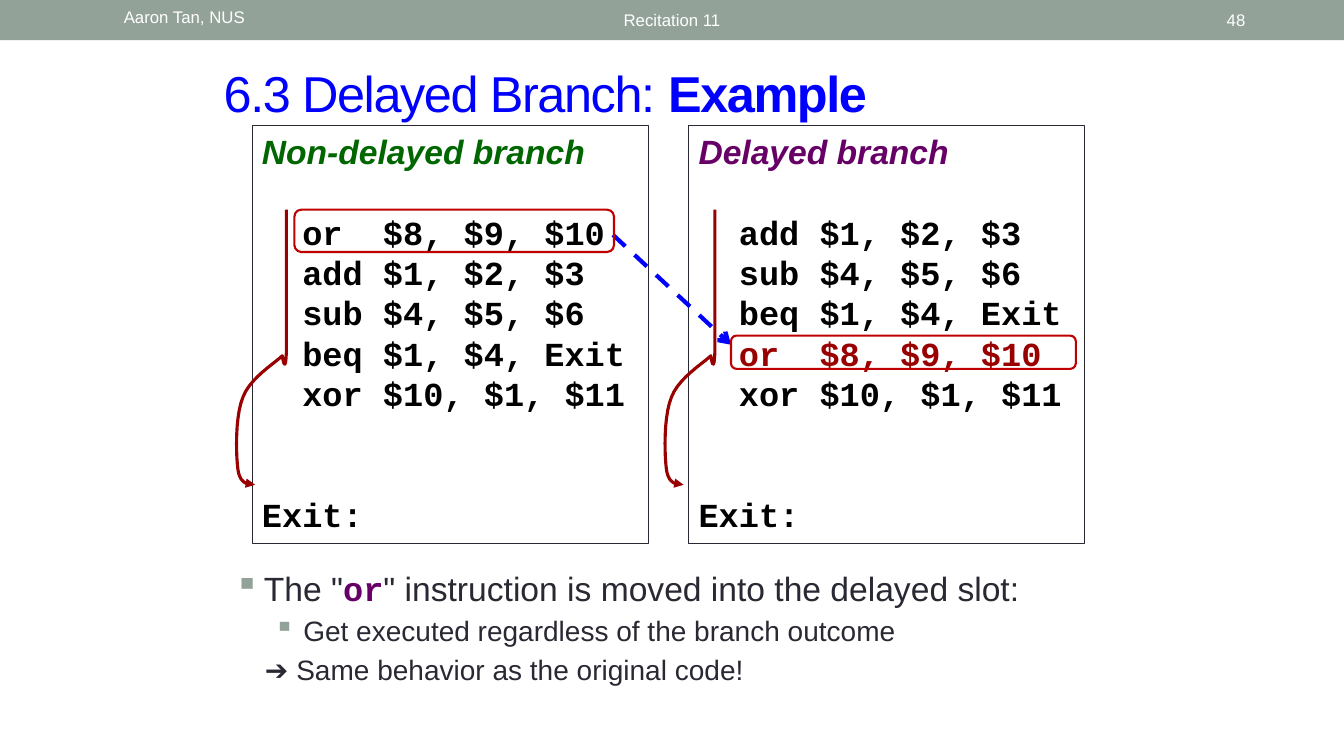
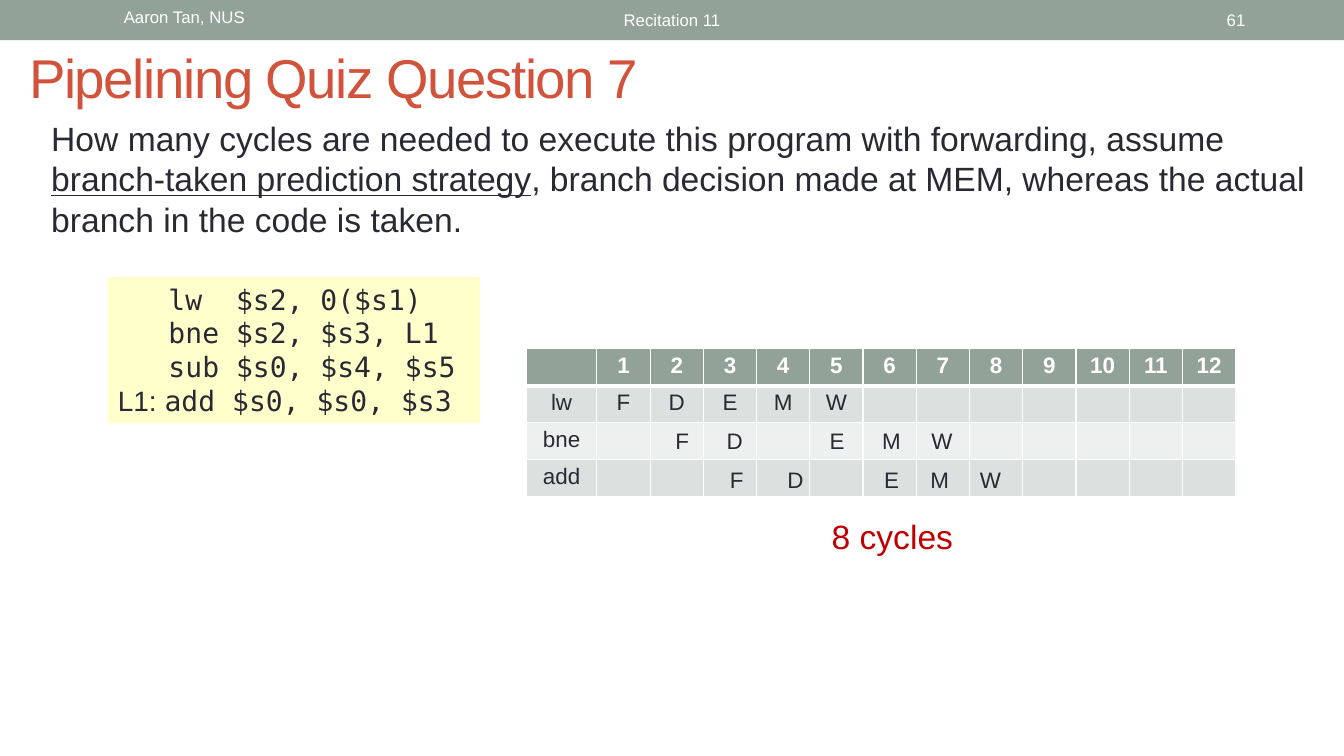
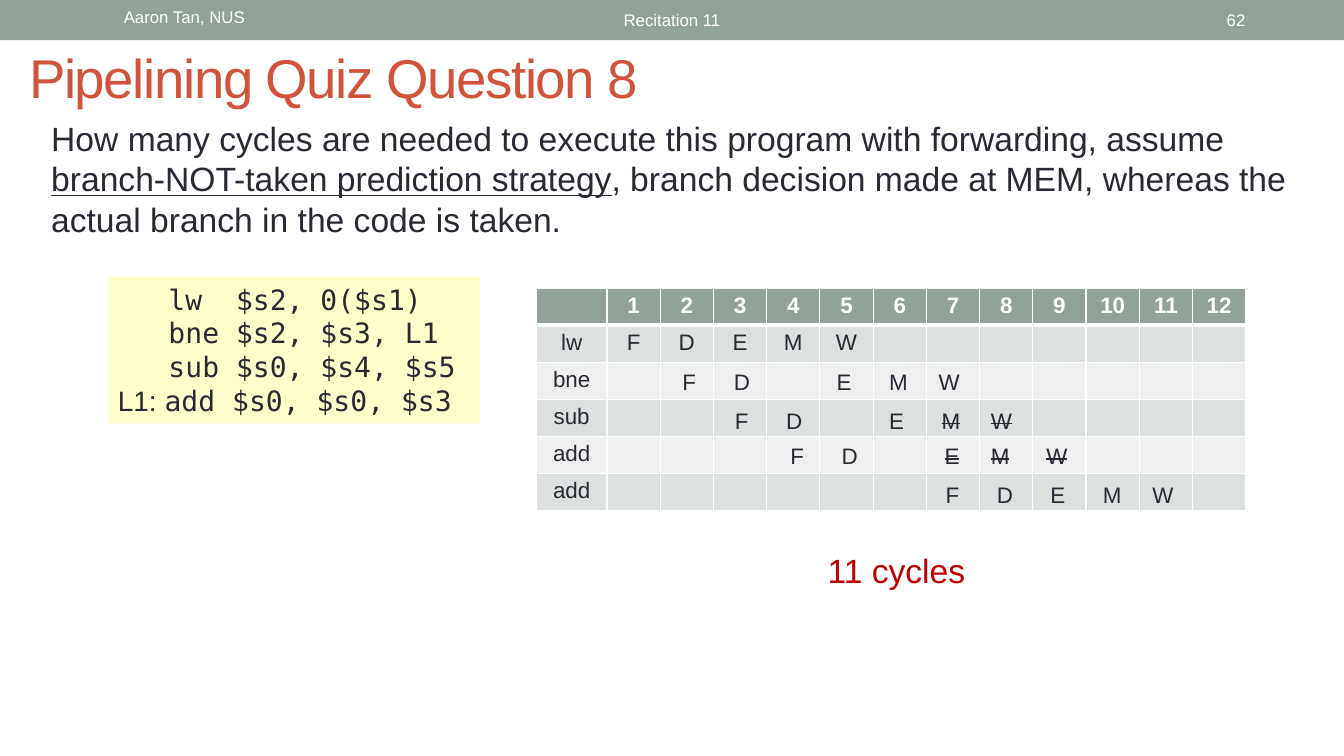
from dataclasses import dataclass

from lxml import etree
from pptx import Presentation
from pptx import util as u
from pptx.dml import color
from pptx.enum import dml, shapes, text
from pptx.oxml import ns

PX = 9144
LEFT, CENTER, RIGHT = text.PP_ALIGN.LEFT, text.PP_ALIGN.CENTER, text.PP_ALIGN.RIGHT
TOP, MIDDLE = text.MSO_ANCHOR.TOP, text.MSO_ANCHOR.MIDDLE
RECT = shapes.MSO_SHAPE.RECTANGLE
ROUND = shapes.MSO_SHAPE.ROUNDED_RECTANGLE


@dataclass(frozen=True)
class Theme:
    band: str = "93A299"
    ink: str = "292934"
    white: str = "FFFFFF"
    black: str = "000000"
    blue: str = "0000FF"
    title: str = "D2533C"
    green: str = "006600"
    purple: str = "660066"
    crimson: str = "990000"
    red: str = "C00000"
    note: str = "FFFFCC"
    rows: tuple = ("DCE0DE", "EEF0EF")
    sans: str = "Arial"
    mono: str = "Courier New"
    code: str = "DejaVu Sans Mono"
    head: int = 39
    subhead: int = 36
    body: int = 24
    detail: int = 20
    cell: int = 16
    footer: int = 12


T = Theme()
BODY = {"size": T.body, "name": T.sans, "color": T.ink}
DETAIL = BODY | {"size": T.detail}
CELL = BODY | {"size": T.cell}
FOOTER = BODY | {"size": T.footer, "color": T.white}
ANSWER = BODY | {"color": T.red}
LISTING = BODY | {"name": T.mono, "color": T.black, "bold": True, "italic": False}
STRUCK = {"strike": "sngStrike"}


@dataclass
class Para:
    runs: list
    before: float = 0
    align: object = LEFT
    left: int = 0
    hang: int = 0
    bullet: bool = False
    tabs: tuple = ()


def px(n):
    return round(n * PX)


def rgb(value):
    return color.RGBColor.from_string(value)


def add(parent, tag, **attrs):
    return etree.SubElement(parent, ns.qn(f"a:{tag}"), {k: str(v) for k, v in attrs.items()})


def bezier(a, b, c, d, steps=10):
    for i in range(1, steps + 1):
        t = i / steps
        s = 1 - t
        yield tuple(s**3 * w + 3 * s * s * t * x + 3 * s * t * t * y + t**3 * z
                    for w, x, y, z in zip(a, b, c, d))


class Deck:
    def __init__(self):
        self.prs = Presentation()
        self.prs.slide_width, self.prs.slide_height = u.Inches(13.33), u.Inches(7.5)
        self.s = None

    def slide(self):
        self.s = self.prs.slides.add_slide(self.prs.slide_layouts[6])
        self.shape(RECT, (0, 0, 1333, 40), fill=T.band)

    def footer(self, number):
        self.text((302, 2, 729, 36), [Para(["Recitation 11"], align=CENTER)], FOOTER, MIDDLE)
        self.text((113, 2, 317, 36), [Para(["Aaron Tan, NUS"])], FOOTER)
        self.text((1150, 2, 95, 36), [Para([str(number)], align=RIGHT)], FOOTER, MIDDLE)

    def title(self, box, runs, size, ink):
        self.text(box, [Para(runs)], BODY | {"size": size, "color": ink, "spc": -100}, MIDDLE)

    def run(self, p, content, style):
        r = p.add_run()
        r.text = content
        for key, value in style.items():
            if key == "color":
                r.font.color.rgb = rgb(value)
            elif key in ("spc", "strike"):
                r._r.get_or_add_rPr().set(key, str(value))
            else:
                setattr(r.font, key, u.Pt(value) if key == "size" else value)

    def paragraphs(self, tf, paras, style, anchor=TOP):
        tf.word_wrap = True
        tf.vertical_anchor = anchor
        for i, para in enumerate(paras):
            p = tf.paragraphs[0] if i == 0 else tf.add_paragraph()
            p.alignment = para.align
            if para.before:
                p.space_before = u.Pt(para.before)
            pr = p._p.get_or_add_pPr()
            if para.left:
                pr.set("marL", str(px(para.left)))
                pr.set("indent", str(-px(para.hang)))
            if para.bullet:
                add(add(pr, "buClr"), "srgbClr", val=T.band)
                add(pr, "buChar", char="▪")
            if para.tabs:
                stops = add(pr, "tabLst")
                for stop in para.tabs:
                    add(stops, "tab", pos=px(stop), algn="l")
            for item in para.runs:
                content, extra = (item, {}) if isinstance(item, str) else item
                self.run(p, content, style | extra)

    def text(self, box, paras, style, anchor=TOP):
        sp = self.s.shapes.add_textbox(*map(px, box))
        self.paragraphs(sp.text_frame, paras, style, anchor)

    def outline(self, sp, ink, weight, dash=None, tail=None):
        sp.line.color.rgb = rgb(ink)
        sp.line.width = u.Pt(weight)
        if dash:
            sp.line.dash_style = dash
        if tail:
            add(sp.line._get_or_add_ln(), "tailEnd", type=tail)

    def shape(self, kind, box, fill=None, ink=None, weight=1, paras=(), style=BODY):
        sp = self.s.shapes.add_shape(kind, *map(px, box))
        sp.shadow.inherit = False
        if fill:
            sp.fill.solid()
            sp.fill.fore_color.rgb = rgb(fill)
        else:
            sp.fill.background()
        if ink:
            self.outline(sp, ink, weight)
        else:
            sp.line.fill.background()
        if paras:
            self.paragraphs(sp.text_frame, paras, style)

    def curve(self, left, top, start, cubics, ink, weight):
        points = [start]
        for c in cubics:
            points += bezier(points[-1], c[:2], c[2:4], c[4:])
        points = [(px(left + x), px(top + y)) for x, y in points]
        fb = self.s.shapes.build_freeform(*points[0], scale=1)
        fb.add_line_segments(points[1:], close=False)
        sp = fb.convert_to_shape()
        sp.shadow.inherit = False
        sp.fill.background()
        self.outline(sp, ink, weight, tail="triangle")

    def arrow(self, ends, ink, weight):
        line = self.s.shapes.add_connector(shapes.MSO_CONNECTOR.STRAIGHT, *map(px, ends))
        self.outline(line, ink, weight, dml.MSO_LINE.DASH, "arrow")
        add(line._element.spPr, "effectLst")

    def cell(self, cell, content, fill, style, bottom):
        pr = cell._tc.get_or_add_tcPr()
        for side, weight in (("L", 1), ("R", 1), ("T", 1), ("B", bottom)):
            ln = add(pr, f"ln{side}", w=int(u.Pt(weight)))
            add(add(ln, "solidFill"), "srgbClr", val=T.white)
        cell.fill.solid()
        cell.fill.fore_color.rgb = rgb(fill)
        p = cell.text_frame.paragraphs[0]
        p.alignment = CENTER
        if content:
            self.run(p, content, style)
        else:
            add(p._p, "endParaRPr", sz=style["size"] * 100)

    def table(self, left, top, rows, first=70, width=704, height=36):
        count = len(rows[0])
        frame = self.s.shapes.add_table(
            len(rows), count, px(left), px(top), px(width), px(height * len(rows)))
        tb = frame.table
        for i, col in enumerate(tb.columns):
            col.width = px((width - first) / (count - 1) if i else first)
        for i, row in enumerate(rows):
            tb.rows[i].height = px(height)
            fill = T.rows[(i - 1) % 2] if i else T.band
            style = CELL | ({"bold": False} if i else {"color": T.white, "bold": True})
            for j in range(count):
                content = row[j] if j < len(row) else ""
                self.cell(tb.cell(i, j), content, fill, style, 1 if i else 3)


def listing_panel(deck, left, heading, ink, lines):
    paras = [Para([(heading, {"name": T.sans, "color": ink, "italic": True})])]
    paras += [Para(line, before=0 if i else 28.8) for i, line in enumerate(lines)]
    paras.append(Para(["Exit:"], before=57.6))
    deck.shape(RECT, (left, 125, 393, 414), ink=T.ink, weight=0.75, paras=paras, style=LISTING)


def delayed_branch(deck):
    deck.slide()
    deck.title((212, 57, 921, 70), ["6.3 Delayed Branch: ", ("Example", {"bold": True})],
               T.subhead, T.blue)
    moved = "or  $8, $9, $10"
    block = [["  add $1, $2, $3"], ["  sub $4, $5, $6"], ["  beq $1, $4, Exit"]]
    last = ["  xor $10, $1, $11"]
    listing_panel(deck, 250, "Non-delayed branch", T.green, [["  " + moved], *block, last])
    listing_panel(deck, 683, "Delayed branch", T.purple,
                  [*block, ["  ", (moved, {"color": T.crimson})], last])
    jump = [(51, 59, 51, 118, 51, 142), (50, 166, 47, 145, 47, 145), (40, 152, 15, 167, 8, 186),
            (0, 205, 1, 243, 3, 258), (5, 272, 13, 273, 20, 273)]
    for left in (233, 658):
        deck.curve(left, 208, (51, 0), jump, T.crimson, 2.25)
    deck.arrow((608, 233, 725, 342), T.blue, 3)
    deck.text((223, 558, 900, 129), [
        Para(['The "', ("or", {"name": T.mono, "color": T.purple, "bold": True}),
              '" instruction is moved into the delayed slot:'], left=29, hang=29, bullet=True),
        Para([("Get executed regardless of the branch outcome", DETAIL)],
             before=4, left=68, hang=29, bullet=True),
        Para([("➔ Same behavior as the original code!", DETAIL)], before=4, left=50, hang=20),
    ], BODY)
    for box in ((725, 333, 342, 33), (292, 208, 317, 42)):
        deck.shape(ROUND, box, ink=T.red, weight=1.5)
    deck.footer(48)


def quiz(deck, number, page, strategy, table_at, instructions, stages, answer, answer_at):
    deck.slide()
    deck.title((19, 38, 1015, 76), [f"Pipelining Quiz Question {number}"], T.head, T.title)
    deck.text((41, 112, 1283, 131), [Para([
        "How many cycles are needed to execute this program with forwarding, assume ",
        (f"{strategy} prediction strategy", {"underline": True}),
        ", branch decision made at MEM, whereas the actual branch in the code is taken.",
    ])], BODY)
    program = [["   lw  $s2, 0($s1)"], ["   bne $s2, $s3, L1"], ["   sub $s0, $s4, $s5"],
               [("L1: ", {"name": T.sans}), "add $s0, $s0, $s3"]]
    deck.shape(RECT, (107, 275, 369, 145), fill=T.note,
               paras=[Para(line) for line in program], style=DETAIL | {"name": T.code})
    header = [""] + [str(n) for n in range(1, 13)]
    deck.table(*table_at, [header, ["lw", *"FDEMW"]] + [[name] for name in instructions])
    for box, tabs, kept in stages:
        runs = []
        for i, stage in enumerate("FDEMW"):
            runs += ["\t"] if i else []
            runs.append(stage if i < kept else (stage, STRUCK))
        deck.text(box, [Para(runs, tabs=tabs)], CELL)
    deck.text((*answer_at, 186, 50), [Para([answer])], ANSWER)
    deck.footer(page)


def main():
    deck = Deck()
    delayed_branch(deck)
    stalled = (51, 153, 205, 254)
    quiz(deck, 7, 61, "branch-taken", (522, 346), ["bne", "add"], [
        ((660, 419, 327, 37), stalled, 5),
        ((714, 458, 308, 37), (57, 153, 199, 248), 5),
    ], "8 cycles", (815, 507))
    quiz(deck, 8, 62, "branch-NOT-taken", (532, 286), ["bne", "sub", "add", "add"], [
        ((667, 360, 327, 37), stalled, 5),
        ((719, 399, 327, 37), stalled, 3),
        ((774, 434, 327, 37), (51, 153, 199, 254), 2),
        ((928, 472, 271, 37), (51, 104, 156, 205), 5),
    ], "11 cycles", (811, 541))
    deck.prs.save("out.pptx")


if __name__ == "__main__":
    main()
